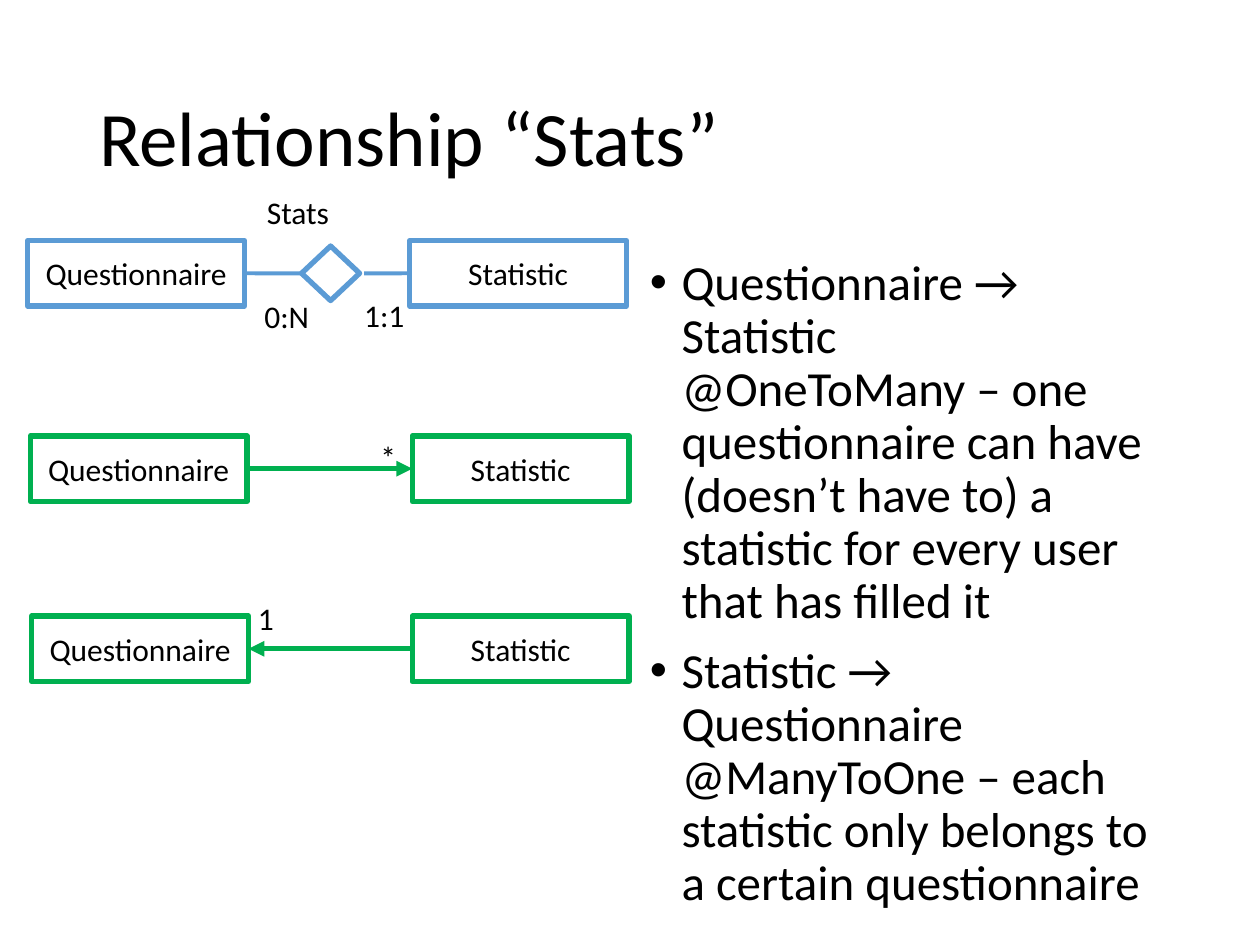
import pptx
import pptx.util
import pptx.dml.color
import pptx.enum.shapes
import pptx.enum.text
import pptx.oxml.ns
import lxml.etree

Cm, Pt = pptx.util.Cm, pptx.util.Pt
SHAPE = pptx.enum.shapes.MSO_SHAPE
ANCHOR = pptx.enum.text.MSO_ANCHOR
ALIGN = pptx.enum.text.PP_ALIGN
COLORS = {"text": "000000", "paper": "FFFFFF", "entity": "5B9BD5", "class": "00B050"}
TOP, LEFT, BOTTOM, RIGHT = range(4)
BOX_WIDTH, BOX_HEIGHT = 4.37, 1.32


def rgb(key):
    return pptx.dml.color.RGBColor.from_string(COLORS[key])


def add_xml(parent, tag, **attributes):
    return lxml.etree.SubElement(parent, pptx.oxml.ns.qn(tag), attributes)


class RelationshipSlide:
    """Draws the elements of a relationship diagram in one style."""

    font = "Calibri"

    def __init__(self, slide):
        self.slide = slide

    def set_text(self, paragraph, text, size):
        paragraph.text = text
        paragraph.font.name = self.font
        paragraph.font.size = Pt(size)
        paragraph.font.color.rgb = rgb("text")

    def text_frame(self, left, top, width, height):
        box = self.slide.shapes.add_textbox(Cm(left), Cm(top), Cm(width), Cm(height))
        box.text_frame.word_wrap = True
        return box.text_frame

    def title(self, text, *place):
        frame = self.text_frame(*place)
        frame.vertical_anchor = ANCHOR.MIDDLE
        frame.paragraphs[0].line_spacing = 0.9
        self.set_text(frame.paragraphs[0], text, 44)

    def bullets(self, items, *place):
        frame = self.text_frame(*place)
        for index, item in enumerate(items):
            paragraph = frame.add_paragraph() if index else frame.paragraphs[0]
            paragraph.line_spacing = 0.9
            paragraph.space_before = Pt(10)
            properties = paragraph._p.get_or_add_pPr()
            properties.set("marL", str(Cm(0.64)))
            properties.set("indent", str(-Cm(0.64)))
            add_xml(properties, "a:buFont", typeface="Arial")
            add_xml(properties, "a:buChar", char="•")
            self.set_text(paragraph, item, 28)

    def label(self, text, *place):
        frame = self.text_frame(*place)
        frame.word_wrap = False
        frame.auto_size = pptx.enum.text.MSO_AUTO_SIZE.SHAPE_TO_FIT_TEXT
        self.set_text(frame.paragraphs[0], text, 18)

    def outline(self, kind, color, left, top, width, height, filled):
        shape = self.slide.shapes.add_shape(kind, Cm(left), Cm(top), Cm(width), Cm(height))
        shape.shadow.inherit = False
        if filled:
            shape.fill.solid()
            shape.fill.fore_color.rgb = rgb("paper")
        else:
            shape.fill.background()
        shape.line.color.rgb = rgb(color)
        shape.line.width = Pt(3)
        return shape

    def box(self, text, color, left, top, filled=False):
        shape = self.outline(SHAPE.RECTANGLE, color, left, top, BOX_WIDTH, BOX_HEIGHT, filled)
        shape.text_frame.vertical_anchor = ANCHOR.MIDDLE
        paragraph = shape.text_frame.paragraphs[0]
        paragraph.alignment = ALIGN.CENTER
        self.set_text(paragraph, text, 18)
        return shape

    def link(self, color, width, start, side, end=None, end_side=None, end_point=(0, 0), arrow=False):
        x, y = map(Cm, end_point)
        line = self.slide.shapes.add_connector(
            pptx.enum.shapes.MSO_CONNECTOR.STRAIGHT, x, y, x, y)
        line.begin_connect(start, side)
        if end is not None:
            line.end_connect(end, end_side)
        line.line.color.rgb = rgb(color)
        line.line.width = Pt(width)
        if arrow:
            add_xml(line.line._get_or_add_ln(), "a:tailEnd", type="triangle")
        add_xml(line._element.spPr, "a:effectLst")


def main():
    presentation = pptx.Presentation()
    presentation.slide_width, presentation.slide_height = Cm(25.4), Cm(19.05)
    page = RelationshipSlide(presentation.slides.add_slide(presentation.slide_layouts[6]))

    page.title("Relationship “Stats”", 1.75, 1.02, 21.9, 3.68)
    page.bullets([
        "Questionnaire → Statistic\v@OneToMany – one questionnaire can have "
        "(doesn’t have to) a statistic for every user that has filled it",
        "Statistic → Questionnaire @ManyToOne – each statistic only belongs "
        "to a certain questionnaire",
    ], 12.85, 5.08, 10.8, 13.69)

    statistic = page.box("Statistic", "entity", 8.26, 4.85, filled=True)
    questionnaire = page.box("Questionnaire", "entity", 0.56, 4.85, filled=True)
    stats = page.outline(SHAPE.DIAMOND, "entity", 6.08, 4.96, 1.17, 1.1, filled=True)
    page.link("entity", 2.25, statistic, LEFT, end_point=(7.34, 5.51))
    page.link("entity", 2.25, stats, LEFT, questionnaire, RIGHT)

    for questionnaire_left, top, to_statistic in [(0.61, 8.79, True), (0.64, 12.42, False)]:
        statistic = page.box("Statistic", "class", 8.31, top)
        questionnaire = page.box("Questionnaire", "class", questionnaire_left, top)
        ends = [(questionnaire, RIGHT), (statistic, LEFT)]
        source, target = ends if to_statistic else reversed(ends)
        page.link("class", 3, *source, *target, arrow=True)

    for text, left, top, width in [
        ("1:1", 7.09, 5.84, 1.35),
        ("0:N", 5.08, 5.87, 1.42),
        ("Stats", 5.13, 3.76, 1.78),
        ("*", 7.42, 8.71, 0.84),
        ("1", 4.95, 11.96, 0.84),
    ]:
        page.label(text, left, top, width, 1.02)

    presentation.save("out.pptx")


if __name__ == "__main__":
    main()
